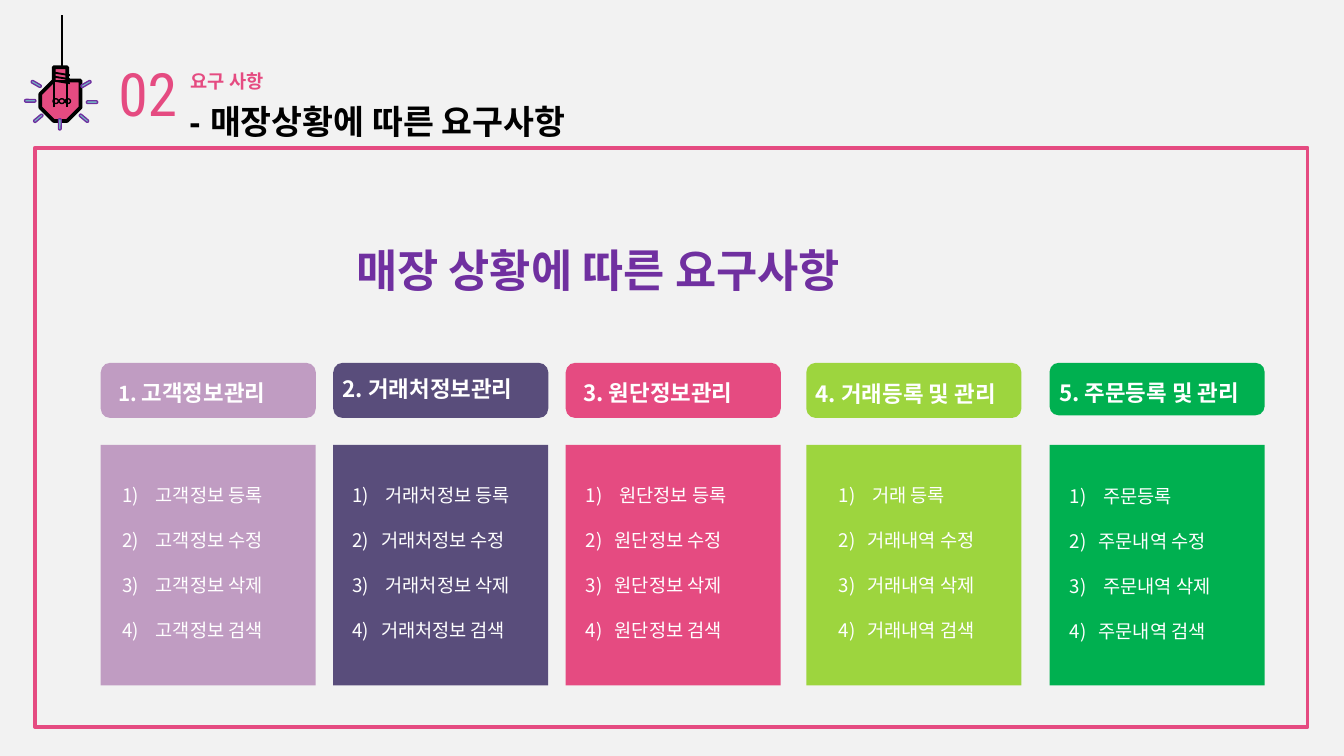
from lxml import etree
from pptx import Presentation
from pptx import util as u
from pptx.dml.color import RGBColor
from pptx.enum import shapes, text
from pptx.oxml.ns import qn

PINK = RGBColor(0xE5, 0x4B, 0x81)
LILAC = RGBColor(0xC0, 0x9C, 0xC2)
INDIGO = RGBColor(0x59, 0x4D, 0x7B)
LIME = RGBColor(0x9D, 0xD5, 0x3E)
GREEN = RGBColor(0x00, 0xB0, 0x50)
PURPLE = RGBColor(0x70, 0x30, 0xA0)
TEAL = RGBColor(0x72, 0xBF, 0xC5)
BLACK = RGBColor(0, 0, 0)
WHITE = RGBColor(0xFF, 0xFF, 0xFF)
PAPER = RGBColor(0xF2, 0xF2, 0xF2)

KOREAN = "Noto Sans CJK KR"
CELL = u.Inches(0.1)  # the slide is a grid of 100 columns by 56.25 rows


def cells(*values):
    return [u.Emu(round(v * CELL)) for v in values]


def curve(a, b, c, d, steps=6):
    """Points on a cubic Bezier, leaving out its start."""
    ts = [i / steps for i in range(1, steps + 1)]
    return [tuple((1 - t) ** 3 * a[k] + 3 * (1 - t) ** 2 * t * b[k]
                  + 3 * (1 - t) * t ** 2 * c[k] + t ** 3 * d[k] for k in (0, 1))
            for t in ts]


class Deck:
    def __init__(self):
        self.prs = Presentation()
        self.prs.slide_width, self.prs.slide_height = cells(100, 56.25)
        self.s = self.prs.slides.add_slide(self.prs.slide_layouts[5])
        self.s.background.fill.solid()
        self.s.background.fill.fore_color.rgb = PAPER

    def paint(self, sp, fill=None, line=None, width=0.75):
        sp.shadow.inherit = False
        if fill is None:
            sp.fill.background()
        else:
            sp.fill.solid()
            sp.fill.fore_color.rgb = fill
        if line is None:
            sp.line.fill.background()
        else:
            sp.line.color.rgb = line
            sp.line.width = u.Pt(width)
        return sp

    def shape(self, kind, box, fill=None, line=None, width=0.75):
        sp = self.s.shapes.add_shape(kind, *cells(*box))
        return self.paint(sp, fill, line, width)

    def outline(self, points, fill=None, line=BLACK, width=0.75, close=True):
        fb = self.s.shapes.build_freeform(*points[0], scale=float(CELL))
        fb.add_line_segments(points[1:], close=close)
        return self.paint(fb.convert_to_shape(), fill, line, width)

    def line(self, x1, y1, x2, y2, color=BLACK, width=1):
        cx = self.s.shapes.add_connector(
            shapes.MSO_CONNECTOR.STRAIGHT, *cells(x1, y1, x2, y2))
        cx.line.color.rgb = color
        cx.line.width = u.Pt(width)
        etree.SubElement(cx._element.spPr, qn("a:effectLst"))

    def run(self, p, words, size, color, font=KOREAN, bold=False):
        r = p.add_run()
        r.text = words
        r.font.size = u.Pt(size)
        r.font.bold = bold
        r.font.color.rgb = color
        r.font.name = font
        etree.SubElement(r._r.get_or_add_rPr(), qn("a:ea"), typeface=KOREAN)

    def frame(self, box, sp=None, anchor=text.MSO_ANCHOR.MIDDLE):
        """Text frame without margins, in a new text box or the given shape."""
        sp = sp or self.s.shapes.add_textbox(*cells(*box))
        sp.left, sp.top, sp.width, sp.height = cells(*box)
        tf = sp.text_frame
        tf.word_wrap = True
        tf.auto_size = text.MSO_AUTO_SIZE.NONE
        tf.vertical_anchor = anchor
        tf.margin_left = tf.margin_right = tf.margin_top = tf.margin_bottom = 0
        return tf

    def label(self, box, runs, color, font=KOREAN, bold=True,
              align=text.PP_ALIGN.LEFT, sp=None):
        """One line of text; runs are (words, size) pairs."""
        p = self.frame(box, sp).paragraphs[0]
        p.alignment = align
        for words, size in runs:
            self.run(p, words, size, color, font, bold)

    def numbered(self, box, items, wide):
        """Numbered list; the numbers in wide have the larger hanging indent."""
        tf = self.frame(box, anchor=text.MSO_ANCHOR.TOP)
        for n, words in enumerate(items, 1):
            p = tf.paragraphs[0] if n == 1 else tf.add_paragraph()
            hang = cells(2.5 if n in wide else 2.15)[0]
            pPr = p._p.get_or_add_pPr()
            pPr.set("marL", str(hang))
            pPr.set("indent", str(-hang))
            etree.SubElement(pPr, qn("a:buAutoNum"),
                             type="arabicParenR", startAt=str(n))
            p.line_spacing = u.Pt(12)
            if n > 1:
                p.space_before = u.Pt(12.1)
            self.run(p, words, 10, WHITE)

    def bulb(self):
        mid = 4.6
        half = [(0, 8.7)]
        half += curve(half[-1], (0.9, 8.7), (1.6, 8.1), (1.6, 7.4))
        half += curve(half[-1], (1.6, 7.1), (1.5, 6.9), (1.3, 6.7))
        half += curve(half[-1], (1.2, 6.5), (1, 6.4), (0.7, 6.3))
        half += [(0.7, 5.3)]
        half += curve(half[-1], (0.7, 5.2), (0.5, 5), (0, 5))
        body = [(mid + x, y) for x, y in half]
        body += [(mid - x, y) for x, y in reversed(half[1:-1])]
        self.outline(body, PINK, width=2)
        for y in (5.5, 5.8, 6.1):
            self.line(mid - 0.6, y - 0.1, mid + 0.6, y + 0.1)
        filament = [(-0.6, 7.6), (-0.3, 7.35), (-0.2, 6.2), (0.2, 6.2),
                    (0.3, 7.35), (0.6, 7.6)]
        self.outline([(mid + x, y) for x, y in filament], width=1, close=False)
        for x in (-0.45, 0, 0.45):
            self.shape(shapes.MSO_SHAPE.OVAL, (mid + x - 0.2, 7.35, 0.4, 0.35),
                       line=BLACK)
        rays = [(2.25, 7.5, 0), (2.7, 6.25, 30), (6.4, 6.25, -30), (6.85, 7.6, 0),
                (6.25, 8.8, 40), (4.45, 9.25, 90), (2.85, 8.8, -40)]
        for x, y, angle in rays:
            sp = self.shape(shapes.MSO_SHAPE.ROUNDED_RECTANGLE,
                            (x - 0.42, y - 0.1, 0.84, 0.2), TEAL, PURPLE)
            sp.adjustments[0] = 0.5
            sp.rotation = angle
        self.line(mid, 5, mid, 1.1)

    def card(self, left, color, tab_height):
        self.shape(shapes.MSO_SHAPE.RECTANGLE, (left, 33.1, 16, 17.9), color)
        tab = self.shape(shapes.MSO_SHAPE.ROUNDED_RECTANGLE,
                         (left, 27, 16, tab_height), color)
        tab.adjustments[0] = 0.17


# card left, colour, tab height; heading left, top, runs; list left, top, items, wide
CARDS = [
    (7.5, LILAC, 4.1, 8.8, 27.7, [("1. ", 11), ("고객정보관리", 12)], 9.1, 36,
     ["고객정보 등록", "고객정보 수정", "고객정보 삭제", "고객정보 검색"], (1, 2, 3, 4)),
    (24.8, INDIGO, 4.1, 25.5, 27.4, [("2. 거래처정보관리", 12)], 26.2, 36,
     ["거래처정보 등록", "거래처정보 수정", "거래처정보 삭제", "거래처정보 검색"], (1, 3)),
    (42.1, PINK, 4.1, 43.4, 27.7, [("3. 원단정보관리", 12)], 43.6, 36,
     ["원단정보 등록", "원단정보 수정", "원단정보 삭제", "원단정보 검색"], (1,)),
    (60, LIME, 4.1, 60.7, 27.8, [("4. 거래등록 및 관리", 12)], 62.4, 36,
     ["거래 등록", "거래내역 수정", "거래내역 삭제", "거래내역 검색"], (1,)),
    (78.1, GREEN, 3.9, 78.8, 27.7, [("5. 주문등록 및 관리", 12)], 79.6, 36.1,
     ["주문등록", "주문내역 수정", "주문내역 삭제", "주문내역 검색"], (1, 3)),
]


def main():
    deck = Deck()
    deck.label((14.1, 7.5, 36.2, 3), [("- 매장상황에 따른 요구사항", 18)], BLACK,
               "Arial", sp=deck.s.shapes.title)
    deck.label((8.2, 4.2, 5.6, 5.4), [("02", 32)], PINK, "Roboto Condensed",
               bold=False, align=text.PP_ALIGN.CENTER)
    deck.label((14.2, 5.2, 21.6, 1.7), [("요구 사항", 10)], PINK, "Arial")
    deck.bulb()
    deck.shape(shapes.MSO_SHAPE.RECTANGLE, (2.6, 11, 94.7, 43.1), line=PINK, width=2)
    deck.label((26.5, 17.6, 59.7, 5), [("매장 상황에 따른 요구사항", 24)], PURPLE,
               "Noto Sans CJK SC")
    for (left, color, tab_height, head_left, head_top, head,
         list_left, list_top, items, wide) in CARDS:
        deck.card(left, color, tab_height)
        deck.label((head_left, head_top, 15.1, 3), head, WHITE)
        deck.numbered((list_left, list_top, 13.2, 11.8), items, wide)
    deck.prs.save("out.pptx")


if __name__ == "__main__":
    main()
